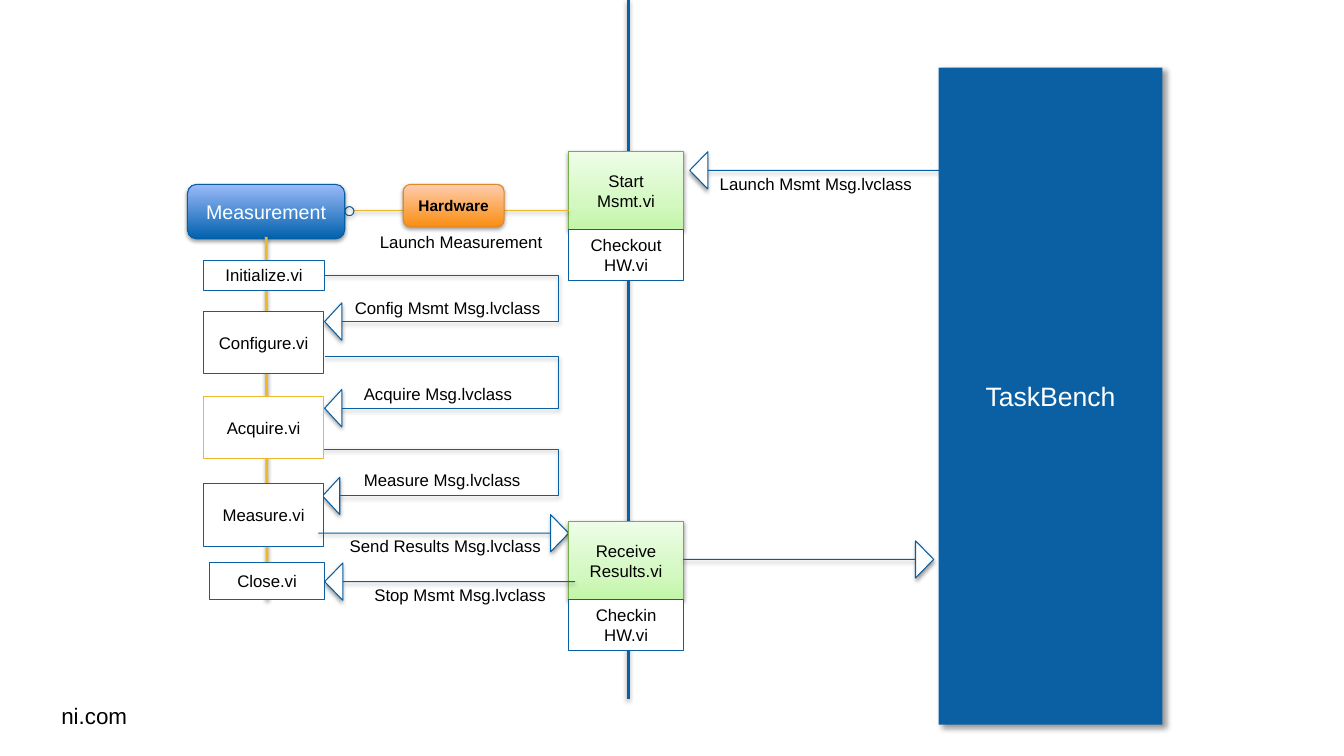
from dataclasses import dataclass
from lxml.etree import SubElement
from pptx import Presentation
from pptx.dml.color import RGBColor
from pptx.enum.shapes import MSO_CONNECTOR, MSO_SHAPE
from pptx.enum.text import MSO_ANCHOR, PP_ALIGN
from pptx.oxml.ns import qn
from pptx.util import Emu, Pt

PX = 9144  # 100 px to the inch
HEAD = 18  # length of an arrow's head
COLORS = {
    "white": "FFFFFF", "black": "000000", "blue": "0A60A3", "edge": "065EA3",
    "gold": "EDB72E", "green": "76AF4A", "rust": "DD8928",
}
FADES = {
    "leaf": [(0, "C2F6A8"), (35, "D4F8C2"), (100, "EEFDE7")],
    "sky": [(0, "0061AD"), (100, "9BB9F9")],
    "flame": [(0, "F98E12"), (100, "FFCCAE")],
}
# Shadows: opacity %, blur pt, distance pt, angle
SHADES = {"soft": (38, 3.1, 1.6, 90), "deep": (40, 4, 3, 45)}


@dataclass
class Box:
    text: str
    x: int
    y: int
    w: int
    h: int
    fill: str = "white"
    line: str = "blue"
    shade: str = ""
    size: int = 12
    color: str = "black"
    bold: bool = False
    form: MSO_SHAPE = MSO_SHAPE.RECTANGLE


@dataclass
class Label:
    text: str
    x: int
    y: int
    w: int
    h: int = 30
    size: int = 12
    align: PP_ALIGN = PP_ALIGN.LEFT


@dataclass
class Arrow:
    tip: int
    y: int
    turn: int  # 270 points left, 90 points right
    length: int = 248


@dataclass
class Wire:
    x1: int
    y1: int
    x2: int
    y2: int
    color: str = "blue"
    width: float = 0.75
    reach: int = 0  # x of the far side of a loop


deck = Presentation()
deck.slide_width, deck.slide_height = Emu(1333 * PX), Emu(750 * PX)
slide = deck.slides.add_slide(deck.slide_layouts[6])
shapes = slide.shapes


def px(*sizes: float) -> list[Emu]:
    return [Emu(round(size * PX)) for size in sizes]


def rgb(name: str) -> RGBColor:
    return RGBColor.from_string(COLORS[name])


def cast(shape, shade: str) -> None:
    """Add an effect list, with a shadow if one is named."""
    effects = SubElement(shape.element.spPr, qn("a:effectLst"))
    if shade:
        alpha, blur, dist, angle = SHADES[shade]
        outer = SubElement(effects, qn("a:outerShdw"), blurRad=str(Pt(blur)),
                           dist=str(Pt(dist)), dir=str(angle * 60000), rotWithShape="0")
        tone = SubElement(outer, qn("a:srgbClr"), val=COLORS["black"])
        SubElement(tone, qn("a:alpha"), val=str(alpha * 1000))


def paint(shape, fill: str, line: str, shade: str) -> None:
    if fill in FADES:
        shape.fill.gradient()
        shape.fill.gradient_angle = 90
        stops = shape.element.spPr.find(".//" + qn("a:gsLst"))
        stops.clear()
        for place, tone in FADES[fill]:
            stop = SubElement(stops, qn("a:gs"), pos=str(place * 1000))
            SubElement(stop, qn("a:srgbClr"), val=tone)
    elif fill:
        shape.fill.solid()
        shape.fill.fore_color.rgb = rgb(fill)
    else:
        shape.fill.background()
    if line:
        shape.line.color.rgb = rgb(line)
        shape.line.width = Pt(0.75)
    else:
        shape.line.fill.background()
    cast(shape, shade)


def write(shape, text: str, size: int, color: str, align: PP_ALIGN, bold: bool = False) -> None:
    frame = shape.text_frame
    frame.text = text
    frame.word_wrap = True
    part = frame.paragraphs[0]
    part.alignment = align
    font = part.runs[0].font
    font.name, font.size, font.bold = "Arial", Pt(size), bold
    font.color.rgb = rgb(color)


def draw(item: Box | Label | Arrow | Wire) -> None:
    match item:
        case Box():
            shape = shapes.add_shape(item.form, *px(item.x, item.y, item.w, item.h))
            paint(shape, item.fill, item.line, item.shade)
            if item.text:
                write(shape, item.text, item.size, item.color, PP_ALIGN.CENTER, item.bold)
                shape.text_frame.vertical_anchor = MSO_ANCHOR.MIDDLE
        case Label():
            shape = shapes.add_textbox(*px(item.x, item.y, item.w, item.h))
            write(shape, item.text, item.size, "black", item.align)
        case Arrow():
            wide, tall = 37, item.length
            side = 1 if item.turn == 270 else -1
            mid = item.tip + side * tall / 2
            shape = shapes.add_shape(MSO_SHAPE.UP_ARROW,
                                     *px(mid - wide / 2, item.y - tall / 2, wide, tall))
            shape.rotation = item.turn
            shape.adjustments[0] = 0
            shape.adjustments[1] = HEAD / min(wide, tall)
            paint(shape, "white", "edge", "soft")
        case Wire():
            kind = MSO_CONNECTOR.ELBOW if item.reach else MSO_CONNECTOR.STRAIGHT
            wire = shapes.add_connector(kind, *px(item.x1, item.y1, item.x2, item.y2))
            if item.reach:
                bend = (item.reach - item.x1) / (item.x2 - item.x1)
                guides = wire.element.spPr.find(".//" + qn("a:avLst"))
                SubElement(guides, qn("a:gd"), name="adj1", fmla=f"val {round(bend * 100000)}")
            wire.line.color.rgb = rgb(item.color)
            wire.line.width = Pt(item.width)
            cast(wire, "soft")


def state(text: str, y: int) -> Box:
    return Box(text, 564, y, 114, 78, "leaf", "green", "soft")


def check(text: str, y: int) -> Box:
    return Box(text, 564, y, 114, 50)


def step(text: str, y: int, line: str = "blue") -> Box:
    return Box(text, 202, y, 119, 62, line=line)


def loop(x: int, top: int, y: int) -> list[Arrow | Wire]:
    return [Arrow(x, y, 270, 17), Wire(x, top, x + 17, y, reach=554)]


ROUND = MSO_SHAPE.ROUNDED_RECTANGLE
ITEMS = [
    Label("ni.com", 51, 692, 90, 37, 16),
    # Timeline and launch
    Wire(623, 0, 623, 693, width=2),
    Arrow(684, 169, 270),
    Label("Launch Msmt Msg.lvclass", 704, 167, 227),
    state("Start Msmt.vi", 150),
    Wire(564, 209, 351, 209, "gold"),
    Box("", 342, 205, 9, 9, "", "edge", "soft", form=MSO_SHAPE.OVAL),
    Label("Launch Measurement", 367, 225, 184),
    Box("Measurement", 186, 183, 156, 54, "sky", "edge", "soft", 14, "white", form=ROUND),
    # Steps and the messages between them
    Wire(264, 235, 265, 595, "gold", 2),
    *loop(322, 273, 319),
    *loop(322, 354, 405),
    *loop(320, 446, 492),
    Box("Initialize.vi", 202, 258, 120, 30),
    step("Configure.vi", 309),
    step("Acquire.vi", 393, "gold"),
    step("Measure.vi", 480),
    Label("Config Msmt Msg.lvclass", 342, 290, 211),
    Label("Acquire Msg.lvclass", 351, 376, 169),
    Label("Measure Msg.lvclass", 351, 461, 179),
    check("Checkout HW.vi", 228),
    # Results and stop
    Arrow(564, 529, 90),
    Label("Send Results Msg.lvclass", 337, 527, 227),
    state("Receive Results.vi", 517),
    Arrow(322, 577, 270),
    Label("Stop Msmt Msg.lvclass", 343, 575, 227, align=PP_ALIGN.CENTER),
    Box("Close.vi", 208, 558, 114, 37),
    check("Checkin HW.vi", 595),
    Box("Hardware", 400, 183, 100, 42, "flame", "rust", "soft", 11, bold=True, form=ROUND),
    # Test runner
    Box("TaskBench", 931, 67, 222, 652, "blue", "", "deep", 19, "white"),
    Arrow(926, 555, 90),
]

for item in ITEMS:
    draw(item)
deck.save("out.pptx")
